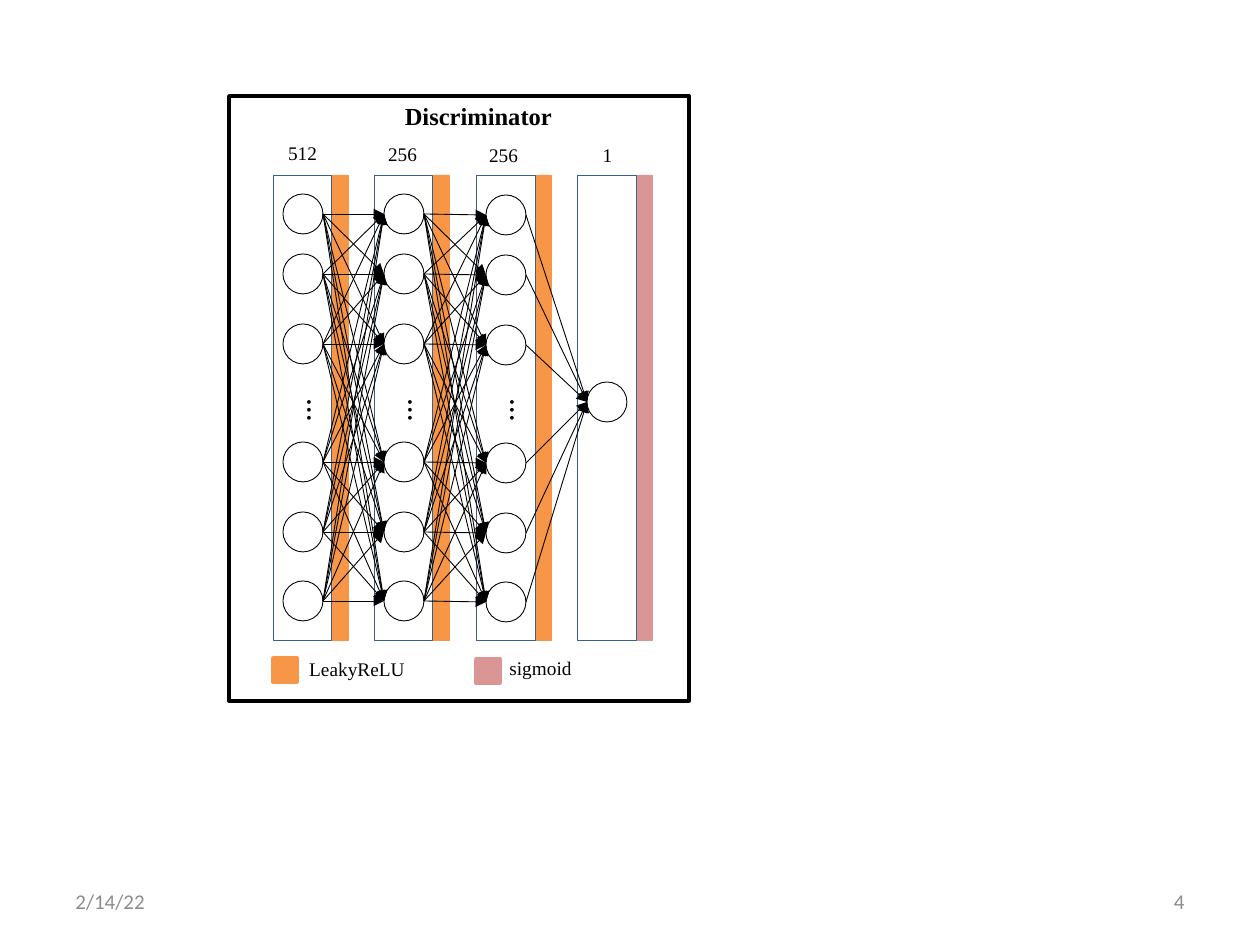
from itertools import product

from lxml import etree
from pptx import Presentation
from pptx import util as u
from pptx.dml.color import RGBColor
from pptx.enum import shapes, text
from pptx.oxml.ns import qn

THEME = {
    "black": "000000", "white": "FFFFFF", "muted": "8C8C8C",
    "LeakyReLU": "F79646", "sigmoid": "D99694", "layer": "3A5F8C",
    "serif": "Times New Roman", "sans": "Calibri",
    "heading": 14, "label": 11, "footer": 12, "dots": 18,
    "thin": 0.5, "thick": 2,
}

HEADING = ("Discriminator", (389, 95, 179, 43))
FRAME = (229, 96, 460, 605)
HIDDEN_ROWS = (214, 274, 344, 462, 532, 601)
LAYERS = [
    {"units": "512", "left": 273, "label": (263, 135), "rows": HIDDEN_ROWS, "activation": "LeakyReLU"},
    {"units": "256", "left": 374, "label": (363, 136), "rows": HIDDEN_ROWS, "activation": "LeakyReLU"},
    {"units": "256", "left": 476, "label": (464, 137), "rows": [y + 1 for y in HIDDEN_ROWS],
     "activation": "LeakyReLU"},
    {"units": "1", "left": 577, "label": (568, 137), "rows": (402,), "activation": "sigmoid"},
]
LEGEND = [
    ("LeakyReLU", (273, 658), (291, 651, 132, 36)),
    ("sigmoid", (476, 659), (489, 650, 103, 36)),
]
FOOTER = [("2/14/22", 63, "LEFT"), ("4", 903, "RIGHT")]

LAYER_TOP, LAYER_WIDTH, LAYER_HEIGHT = 175, 59, 466
STRIP_WIDTH, NEURON, NEURON_INSET, SWATCH = 16, 40, 10, 24
DOTS_TOP = 387


def px(*lengths):
    return [u.Emu(round(length * u.Inches(1) / 126)) for length in lengths]


def color(name):
    return RGBColor.from_string(THEME[name])


def write(words, at, holder=None, size="label", font="serif", ink="black", bold=False,
          align="CENTER", anchor="TOP", grow=True, vert=None):
    holder = holder or slide.shapes.add_textbox(*px(*at))
    holder.left, holder.top, holder.width, holder.height = px(*at)
    frame = holder.text_frame
    frame.word_wrap = True
    frame.auto_size = text.MSO_AUTO_SIZE.SHAPE_TO_FIT_TEXT if grow else text.MSO_AUTO_SIZE.NONE
    frame.vertical_anchor = text.MSO_ANCHOR[anchor]
    if vert:
        holder.element.find(".//" + qn("a:bodyPr")).set("vert", vert)
    paragraph = frame.paragraphs[0]
    paragraph.alignment = text.PP_ALIGN[align]
    run = paragraph.add_run()
    run.text = words
    run.font.name, run.font.size, run.font.bold = THEME[font], u.Pt(THEME[size]), bold
    run.font.color.rgb = color(ink)


def draw(kind, at, fill=None, line="black", weight="thin"):
    outline = slide.shapes.add_shape(shapes.MSO_SHAPE[kind], *px(*at))
    outline.shadow.inherit = False
    if fill:
        outline.fill.solid()
        outline.fill.fore_color.rgb = color(fill)
    else:
        outline.fill.background()
    outline.line.color.rgb = color(line)
    outline.line.width = u.Pt(THEME[weight])


def arrow(start, end):
    link = slide.shapes.add_connector(shapes.MSO_CONNECTOR.STRAIGHT, *px(*start, *end))
    link.line.color.rgb = color("black")
    link.line.width = u.Pt(THEME["thin"])
    etree.SubElement(link.line._get_or_add_ln(), qn("a:tailEnd"), type="triangle")
    etree.SubElement(link.element.spPr, qn("a:effectLst"))


prs = Presentation()
prs.slide_width, prs.slide_height = u.Inches(10), u.Inches(7.5)
slide = prs.slides.add_slide(prs.slide_layouts.get_by_name("Title Only"))

write(*HEADING, holder=slide.shapes.title, size="heading", bold=True)
draw("RECTANGLE", FRAME, weight="thick")

for layer in LAYERS:
    left, activation = layer["left"], layer["activation"]
    neuron_left = left + NEURON_INSET
    draw("RECTANGLE", (left + LAYER_WIDTH, LAYER_TOP, STRIP_WIDTH, LAYER_HEIGHT), activation, activation)
    draw("RECTANGLE", (left, LAYER_TOP, LAYER_WIDTH, LAYER_HEIGHT), line="layer")
    for y in layer["rows"]:
        draw("OVAL", (neuron_left, y - NEURON // 2, NEURON, NEURON), "white")
    if len(layer["rows"]) > 1:
        write("…", (neuron_left - 1, DOTS_TOP, 63, 47), size="dots", font="sans", vert="eaVert")
    write(layer["units"], (*layer["label"], 79, 36))

for source, target in zip(LAYERS, LAYERS[1:]):
    start_x = source["left"] + NEURON_INSET + NEURON
    end_x = target["left"] + NEURON_INSET
    for start_y, end_y in product(source["rows"], target["rows"]):
        arrow((start_x, start_y), (end_x, end_y))

for activation, corner, label_at in LEGEND:
    draw("RECTANGLE", (*corner, SWATCH, SWATCH), activation, activation, "thick")
    write(activation, label_at)

for words, left, align in FOOTER:
    write(words, (left, 876, 294, 50), size="footer", font="sans", ink="muted",
          align=align, anchor="MIDDLE", grow=False)

prs.save("out.pptx")
